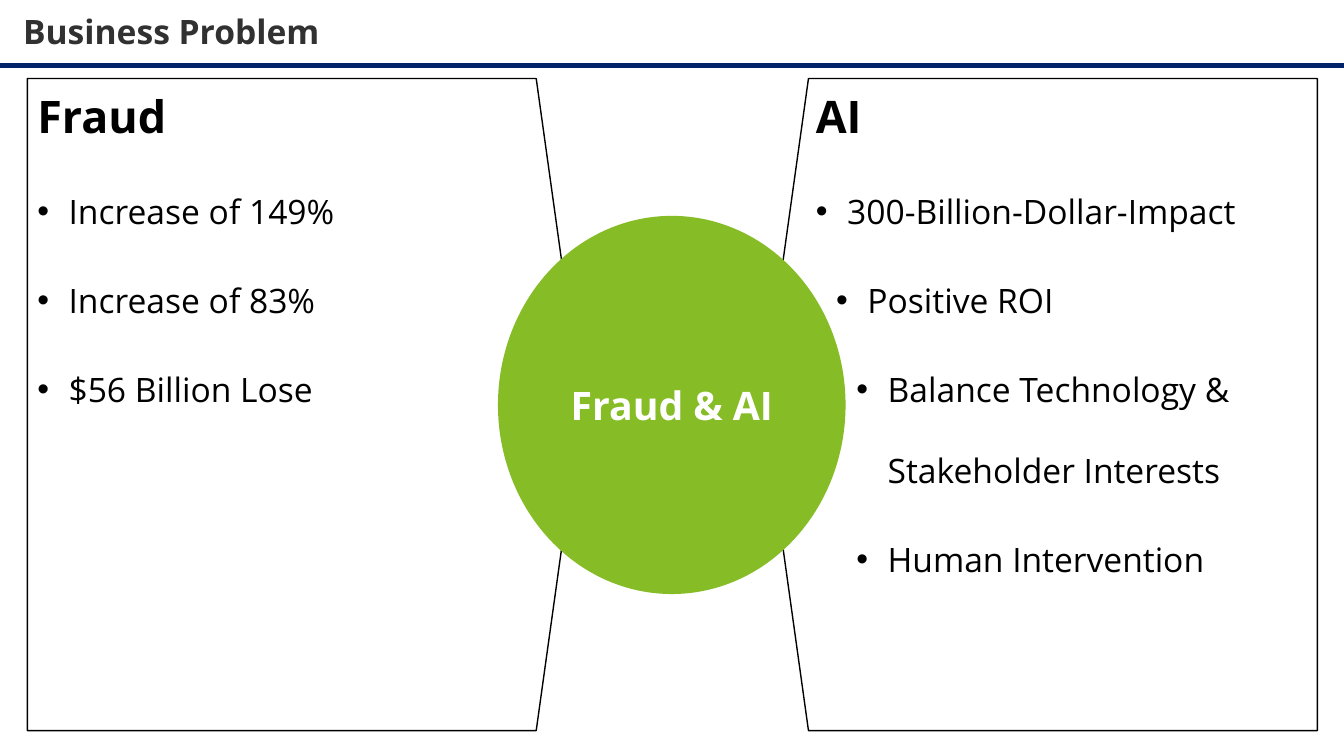
import pptx
import pptx.util
import pptx.dml.color
import pptx.enum.shapes
import pptx.enum.text
import pptx.oxml.ns
import lxml.etree

Cm, Pt = pptx.util.Cm, pptx.util.Pt
RGB = pptx.dml.color.RGBColor
MSO_SHAPE = pptx.enum.shapes.MSO_SHAPE
PP_ALIGN = pptx.enum.text.PP_ALIGN
MSO_ANCHOR = pptx.enum.text.MSO_ANCHOR
qn = pptx.oxml.ns.qn

COLORS = {
    "title": "313131",
    "rule": "012169",
    "text": "000000",
    "panel": "FFFFFF",
    "outline": "000000",
    "circle": "86BC25",
    "label": "FFFFFF",
}

# heading, left edge, left inset, mirrored, bullets as (level, text)
PANELS = [
    ("AI", 19.23, 0.76, True, [
        (0, "300-Billion-Dollar-Impact"),
        (1, "Positive ROI"),
        (2, "Balance Technology & Stakeholder Interests"),
        (2, "Human Intervention"),
    ]),
    ("Fraud", 0.69, 0.25, False, [
        (0, "Increase of 149%"),
        (0, "Increase of 83%"),
        (0, "$56 Billion Lose"),
    ]),
]


def set_text(p, text, size, color, bold=True, align=PP_ALIGN.LEFT):
    p.text = text
    p.alignment = align
    p.space_before = Pt(6)
    p.font.name = "Open Sans"
    p.font.size = Pt(size)
    p.font.bold = bold
    p.font.color.rgb = RGB.from_string(COLORS[color])


def set_frame(tf, left=0, other=0):
    """Wrap text from the top, with one left inset and one for the other sides."""
    tf.word_wrap = True
    tf.auto_size = pptx.enum.text.MSO_AUTO_SIZE.NONE
    tf.vertical_anchor = MSO_ANCHOR.TOP
    tf.margin_left = Cm(left)
    tf.margin_top = tf.margin_right = tf.margin_bottom = Cm(other)


prs = pptx.Presentation()
prs.slide_width, prs.slide_height = Cm(33.87), Cm(19.05)
s = prs.slides.add_slide(prs.slide_layouts[5])

# Title and rule
title = s.shapes.title
title.left, title.top, title.width, title.height = Cm(0.58), Cm(0.28), Cm(32.7), Cm(1.02)
set_frame(title.text_frame)
set_text(title.text_frame.paragraphs[0], "Business Problem", 24, "title")

rule = s.shapes.add_connector(
    pptx.enum.shapes.MSO_CONNECTOR.STRAIGHT, 0, Cm(1.65), prs.slide_width, Cm(1.65))
rule.line.color.rgb = RGB.from_string(COLORS["rule"])
rule.line.width = Pt(4)
lxml.etree.SubElement(rule._element.spPr, qn("a:effectLst"))

# Facing panels
for heading, left, inset, mirrored, bullets in PANELS:
    sp = s.shapes.add_shape(
        MSO_SHAPE.PENTAGON, Cm(left), Cm(1.98), Cm(13.97), Cm(16.43))
    sp.adjustments[0] = 0.082
    sp.shadow.inherit = False
    sp.fill.solid()
    sp.fill.fore_color.rgb = RGB.from_string(COLORS["panel"])
    sp.line.color.rgb = RGB.from_string(COLORS["outline"])
    sp.line.width = Pt(1)
    if mirrored:
        sp._element.spPr.find(qn("a:xfrm")).set("flipH", "1")

    tf = sp.text_frame
    set_frame(tf, inset, 0.25)
    set_text(tf.paragraphs[0], heading, 32, "text")
    for level, text in bullets:
        p = tf.add_paragraph()
        set_text(p, text, 24, "text", bold=False)
        p.level = level
        p.line_spacing = 2.0
        pPr = p._p.get_or_add_pPr()
        pPr.set("marL", str(Cm(0.79 + 0.51 * level)))
        pPr.set("indent", str(-Cm(0.79)))
        bullet_font = lxml.etree.Element(qn("a:buFont"), typeface="Arial")
        bullet = lxml.etree.Element(qn("a:buChar"), char="•")
        pPr.find(qn("a:spcBef")).addnext(bullet_font)
        bullet_font.addnext(bullet)

# Circle joining the panels
circle = s.shapes.add_shape(MSO_SHAPE.OVAL, Cm(12.55), Cm(5.44), Cm(8.76), Cm(9.53))
circle.shadow.inherit = False
circle.fill.solid()
circle.fill.fore_color.rgb = RGB.from_string(COLORS["circle"])
circle.line.fill.background()

label = s.shapes.add_textbox(Cm(14.15), Cm(9.6), Cm(5.56), Cm(1.19))
set_frame(label.text_frame)
set_text(label.text_frame.paragraphs[0], "Fraud & AI", 28, "label", align=PP_ALIGN.CENTER)

prs.save("out.pptx")
